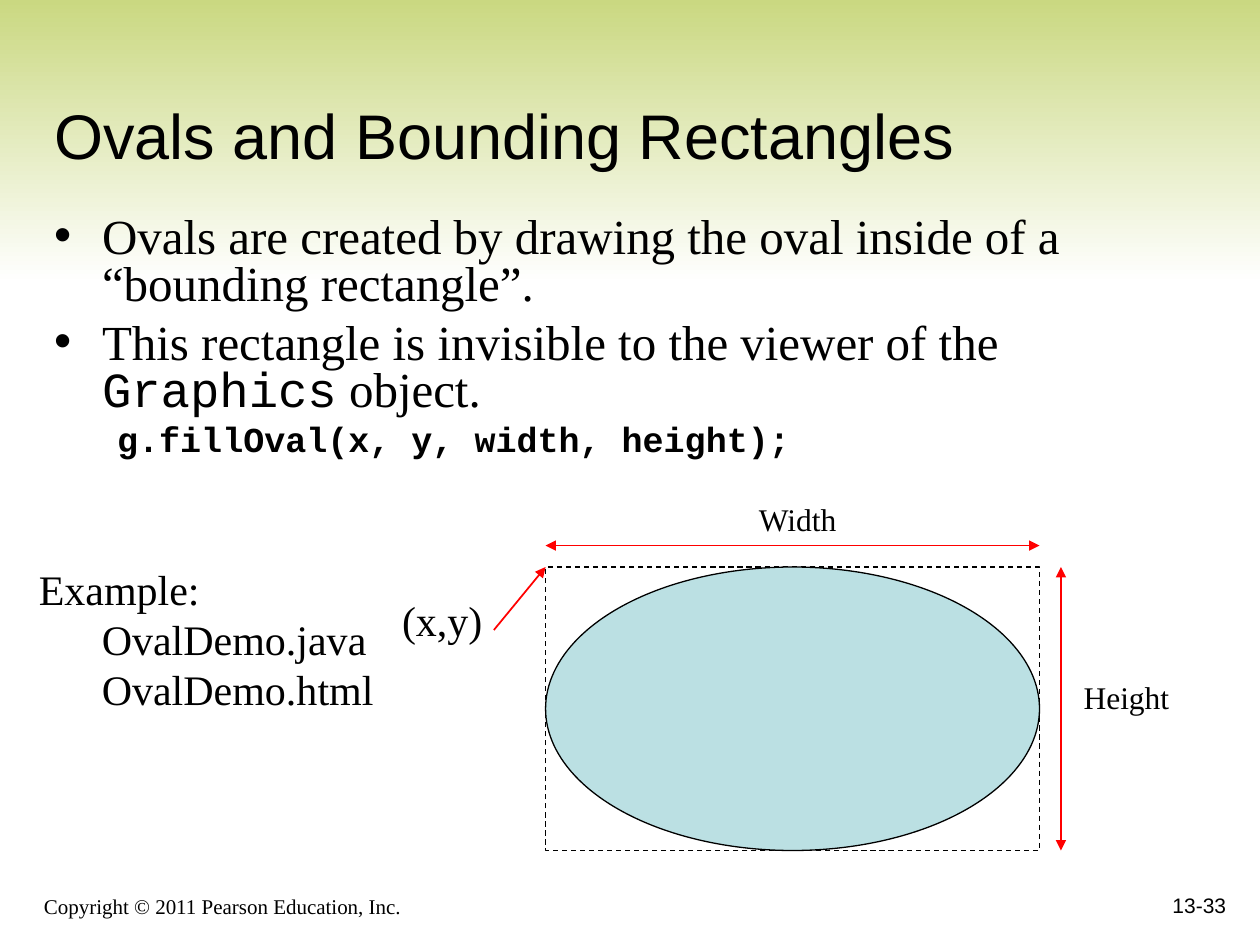
from dataclasses import dataclass

from lxml.etree import SubElement
from pptx import Presentation
from pptx.dml.color import RGBColor
from pptx.enum.dml import MSO_LINE
from pptx.enum.shapes import MSO_CONNECTOR, MSO_SHAPE
from pptx.enum.text import MSO_ANCHOR, MSO_AUTO_SIZE, PP_ALIGN
from pptx.oxml.ns import qn
from pptx.util import Inches, Pt


@dataclass(frozen=True)
class Theme:
    ink: RGBColor = RGBColor(0, 0, 0)
    arrow: RGBColor = RGBColor(0xFF, 0, 0)
    oval: RGBColor = RGBColor(0xBB, 0xE0, 0xE3)
    band: RGBColor = RGBColor(0xCA, 0xD8, 0x81)
    paper: RGBColor = RGBColor(0xFF, 0xFF, 0xFF)
    sans: str = "Arial"
    serif: str = "Times New Roman"
    mono: str = "Courier New"
    title: int = 36
    body: int = 28
    note: int = 24
    code: int = 20
    label: int = 18
    foot: int = 12
    lead: float = 0.8


THEME = Theme()


@dataclass(frozen=True)
class Label:
    text: str
    box: tuple[float, float, float, float]
    size: int
    font: str = THEME.serif
    align: PP_ALIGN = PP_ALIGN.CENTER
    anchor: MSO_ANCHOR = MSO_ANCHOR.TOP
    wrap: bool = False
    hang: float = 0


@dataclass(frozen=True)
class Arrow:
    start: tuple[float, float]
    end: tuple[float, float]
    width: float = 0.75
    both: bool = True


def style(font, name: str, size: int, bold: bool = False) -> None:
    font.name, font.size, font.bold = name, Pt(size), bold
    font.color.rgb = THEME.ink


def place(shape, box: tuple[float, float, float, float]) -> None:
    shape.left, shape.top, shape.width, shape.height = map(Inches, box)


def indent(para, left: float, first: float) -> None:
    props = para._p.get_or_add_pPr()
    props.set("marL", str(Inches(left)))
    props.set("indent", str(Inches(first)))


def add_label(slide, label: Label) -> None:
    frame = slide.shapes.add_textbox(*map(Inches, label.box)).text_frame
    frame.word_wrap = label.wrap
    frame.vertical_anchor = label.anchor
    frame.text = label.text
    para = frame.paragraphs[0]
    para.alignment = label.align
    if label.hang:
        indent(para, label.hang, -label.hang)
    for run in para.runs:
        style(run.font, label.font, label.size)


def add_arrow(slide, arrow: Arrow) -> None:
    line = slide.shapes.add_connector(
        MSO_CONNECTOR.STRAIGHT, *map(Inches, arrow.start + arrow.end))
    line.line.color.rgb = THEME.arrow
    line.line.width = Pt(arrow.width)
    stroke = line.line._get_or_add_ln()
    for end in ("a:headEnd", "a:tailEnd") if arrow.both else ("a:tailEnd",):
        SubElement(stroke, qn(end)).set("type", "triangle")
    SubElement(line.element.spPr, qn("a:effectLst"))


def add_outline(slide, kind: MSO_SHAPE, box: tuple[float, float, float, float]):
    shape = slide.shapes.add_shape(kind, *map(Inches, box))
    shape.shadow.inherit = False
    shape.fill.background()
    shape.line.color.rgb = THEME.ink
    shape.line.width = Pt(0.75)
    return shape


def add_band(slide) -> None:
    band = add_outline(slide, MSO_SHAPE.RECTANGLE, (0, 0, 10, 2.25))
    band.line.fill.background()
    band.fill.gradient()
    band.fill.gradient_angle = 270
    for stop, color, at in zip(band.fill.gradient_stops,
                               (THEME.band, THEME.paper), (0, 1)):
        stop.color.rgb, stop.position = color, at
    slide.shapes.title.element.addprevious(band.element)


def fill_title(slide) -> None:
    title = slide.shapes.title
    place(title, (0.33, 0.33, 9.42, 1.09))
    frame = title.text_frame
    frame.text = "Ovals and Bounding Rectangles"
    frame.vertical_anchor = MSO_ANCHOR.BOTTOM
    frame.auto_size = MSO_AUTO_SIZE.NONE
    frame.paragraphs[0].alignment = PP_ALIGN.LEFT
    style(frame.paragraphs[0].runs[0].font, THEME.sans, THEME.title)


def fill_body(slide) -> None:
    body = slide.placeholders[1]
    place(body, (0.33, 1.67, 9.25, 2.18))
    frame = body.text_frame
    frame.auto_size = MSO_AUTO_SIZE.NONE
    frame.margin_right = 0
    points = (
        ("Ovals are created by drawing the oval inside of a “bounding rectangle”.",),
        ("This rectangle is invisible to the viewer of the ", "Graphics", " object."),
    )
    for i, parts in enumerate(points):
        para = frame.add_paragraph() if i else frame.paragraphs[0]
        indent(para, 0.38, -0.38)
        SubElement(para._p.get_or_add_pPr(), qn("a:buChar")).set("char", "•")
        para.line_spacing = THEME.lead
        para.space_before = Pt(7 if i else 0)
        for part in parts:
            run = para.add_run()
            run.text = part
            face = THEME.mono if part == "Graphics" else THEME.serif
            style(run.font, face, THEME.body)
    # Code line under the second point
    code = frame.add_paragraph()
    code.text = "g.fillOval(x, y, width, height);"
    code.level = 1
    indent(code, 0.81, -0.31)
    SubElement(code._p.get_or_add_pPr(), qn("a:buNone"))
    code.line_spacing = THEME.lead
    code.space_before = Pt(5)
    style(code.runs[0].font, THEME.mono, THEME.code, True)


def draw_oval(slide) -> None:
    left, top, wide, high = box = (4.33, 4.5, 3.92, 2.25)
    right, low, gap = left + wide, top + high, 0.17
    frame = add_outline(slide, MSO_SHAPE.RECTANGLE, box)
    frame.line.dash_style = MSO_LINE.DASH
    oval = add_outline(slide, MSO_SHAPE.OVAL, box)
    oval.fill.solid()
    oval.fill.fore_color.rgb = THEME.oval
    # Corner pointer, then width and height measures
    for arrow in (
        Arrow((3.92, 5), (left, top), 1, False),
        Arrow((left, top - gap), (right, top - gap)),
        Arrow((right + gap, low), (right + gap, top)),
    ):
        add_arrow(slide, arrow)


LABELS = (
    Label("(x,y)", (3.09, 4.67, 0.84, 0.5), THEME.note),
    Label("Width", (5.92, 3.92, 0.82, 0.4), THEME.label),
    Label("Height", (8.5, 5.33, 0.88, 0.4), THEME.label),
    Label("Example:\vOvalDemo.java\vOvalDemo.html", (0.21, 4.42, 3.1, 1.3),
          THEME.note, align=PP_ALIGN.LEFT, wrap=True, hang=0.5),
    Label("Copyright © 2011 Pearson Education, Inc.", (0.25, 6.92, 6.08, 0.42),
          THEME.foot, align=PP_ALIGN.LEFT, anchor=MSO_ANCHOR.BOTTOM, wrap=True),
    Label("13-33", (7.75, 6.83, 2.08, 0.5), THEME.foot, THEME.sans,
          PP_ALIGN.RIGHT, MSO_ANCHOR.BOTTOM, True),
)


def main() -> None:
    deck = Presentation()
    deck.slide_width, deck.slide_height = Inches(10), Inches(7.5)
    slide = deck.slides.add_slide(deck.slide_layouts[1])
    add_band(slide)
    fill_title(slide)
    fill_body(slide)
    draw_oval(slide)
    for label in LABELS:
        add_label(slide, label)
    deck.save("out.pptx")


if __name__ == "__main__":
    main()
